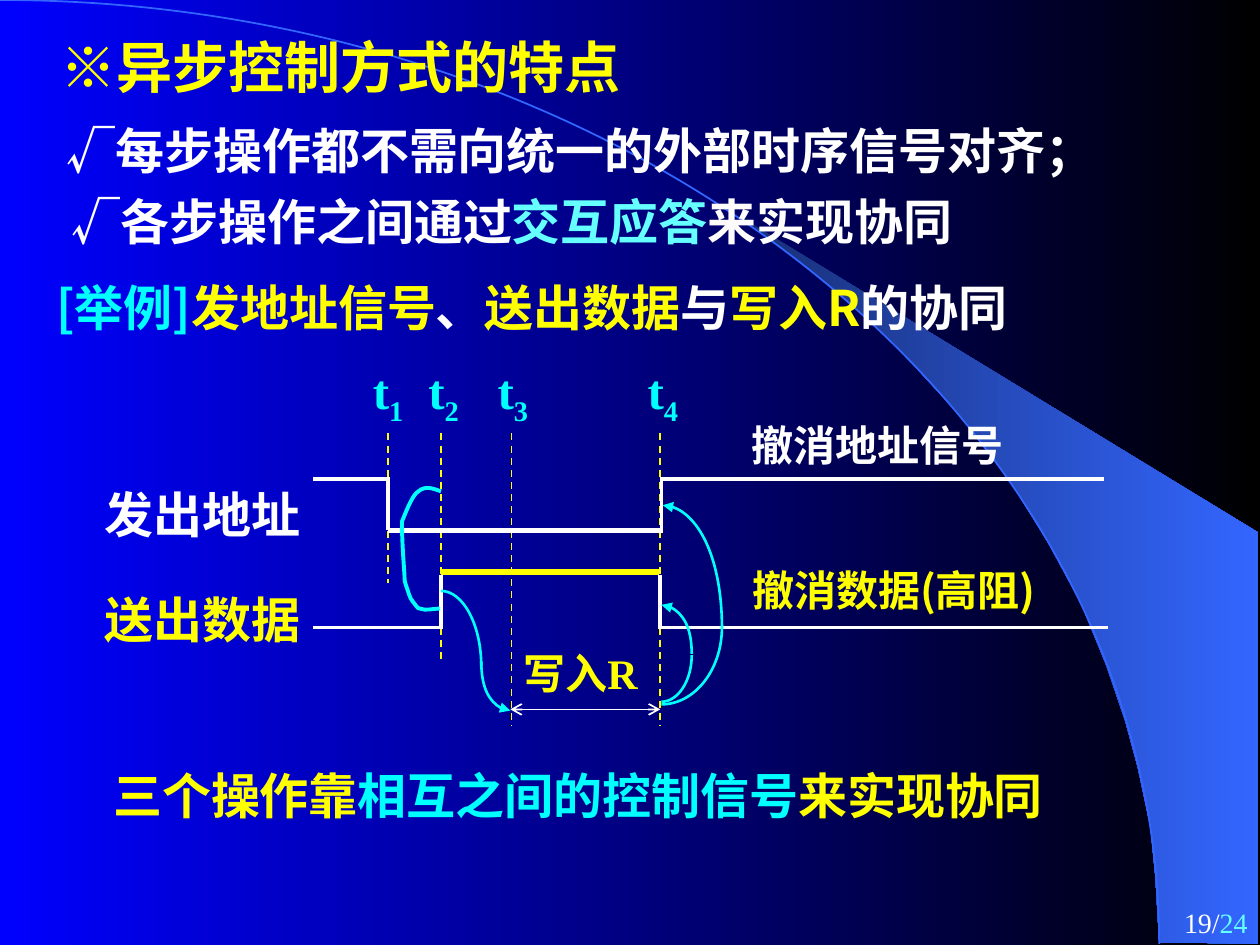
from dataclasses import dataclass

from lxml import etree
from pptx import Presentation
from pptx.dml.color import RGBColor
from pptx.enum.dml import MSO_LINE
from pptx.enum.shapes import MSO_CONNECTOR
from pptx.enum.text import MSO_AUTO_SIZE, PP_ALIGN
from pptx.oxml.ns import qn
from pptx.util import Inches, Pt

STRAIGHT = MSO_CONNECTOR.STRAIGHT
DASH = MSO_LINE.DASH
GROW = MSO_AUTO_SIZE.SHAPE_TO_FIT_TEXT
NO_GROW = MSO_AUTO_SIZE.NONE
LEFT, CENTER, RIGHT = PP_ALIGN.LEFT, PP_ALIGN.CENTER, PP_ALIGN.RIGHT

SANS = "Noto Sans CJK SC"
SERIF = "Times New Roman"
ROUNDNESS = 0.55
COLORS = {
    "white": "FFFFFF", "off_white": "FDFBFB", "yellow": "FFFF00",
    "cyan": "00FFFF", "pale_cyan": "66FFFF", "blue": "0000FF",
    "black": "000000", "sky": "3366FF", "navy": "182F76",
}
Point = tuple[float, float]


@dataclass
class Label:
    box: tuple[float, float, float, float]
    runs: list[tuple[str, str]]
    size: int = 28
    font: str = SANS
    align: PP_ALIGN = LEFT
    bold: bool = True
    wrap: bool = True
    grow: bool = True
    subscript: str = ""


@dataclass
class Line:
    start: Point
    end: Point
    color: str = "white"
    width: float = 2.25
    dashed: bool = False
    arrow: str = ""


@dataclass
class Arc:
    """Quarter ellipse leaving its tip horizontally and reaching its side vertically."""
    tip: Point
    side: Point
    color: str = "cyan"
    width: float = 1.5
    arrow: bool = False
    full_frame: bool = True


@dataclass
class TimeMarker:
    index: str
    x: float
    bottom: float
    label_left: float


LABELS = [
    Label((0.38, 0.21, 5.24, 0.64), [("※异步控制方式的特点", "yellow")], size=32),
    Label((0.43, 0.91, 8.9, 0.57), [("√每步操作都不需向统一的外部时序信号对齐；", "white")]),
    Label((0.47, 1.47, 7.19, 0.57),
          [("√各步操作之间通过", "white"), ("交互应答", "pale_cyan"),
           ("来", "off_white"), ("实现协同", "white")], wrap=False),
    Label((0.35, 2.15, 8.66, 0.57),
          [("[举例]", "cyan"), ("发地址信号", "yellow"), ("、", "white"),
           ("送出数据", "yellow"), ("与", "white"), ("写入R", "yellow"),
           ("的协同", "white")]),
    Label((0.51, 3.8, 1.97, 0.57), [("发出地址", "white")], font=SERIF, align=RIGHT),
    Label((0.59, 4.63, 1.89, 0.57), [("送出数据", "yellow")], font=SERIF, align=RIGHT),
    Label((3.98, 5.09, 1.42, 0.5), [(" 写入R", "yellow")], size=24, font=SERIF),
    Label((5.87, 3.28, 2.44, 0.5), [("撤消地址信号", "white")], size=24),
    Label((5.87, 4.43, 2.91, 0.5), [("撤消数据(高阻)", "yellow")], size=24),
    Label((0.8, 6.03, 7.58, 0.57),
          [("三个操作靠", "yellow"), ("相互之间的控制信号", "cyan"),
           ("来实现协同", "yellow")], wrap=False),
    Label((7.92, 7.14, 2.08, 0.36), [("19/", "white"), ("24", "pale_cyan")],
          size=16, font=SERIF, align=RIGHT, bold=False, grow=False),
]
TIME_MARKERS = [
    TimeMarker("1", 3.08, 4.63, 2.66),
    TimeMarker("2", 3.5, 5.26, 3.1),
    TimeMarker("3", 4.06, 5.76, 3.65),
    TimeMarker("4", 5.24, 5.76, 4.84),
]
HIGH_ADDRESS, LOW_ADDRESS = 3.8, 4.19
HIGH_DATA, LOW_DATA = 4.58, 4.98
SIGNAL_LINES = [
    Line((3.08, HIGH_ADDRESS), (2.5, HIGH_ADDRESS)),
    Line((3.08, LOW_ADDRESS), (3.08, HIGH_ADDRESS)),
    Line((5.24, 4.21), (3.1, 4.21), width=3),
    Line((5.25, LOW_ADDRESS), (5.25, HIGH_ADDRESS)),
    Line((8.75, HIGH_ADDRESS), (5.25, HIGH_ADDRESS)),
    Line((3.5, LOW_DATA), (2.5, LOW_DATA)),
    Line((3.5, LOW_DATA), (3.5, HIGH_DATA)),
    Line((5.21, 4.54), (3.52, 4.54), "yellow", 3),
    Line((5.24, LOW_DATA), (5.24, HIGH_DATA)),
    Line((8.78, LOW_DATA), (5.24, LOW_DATA)),
    Line((5.24, 5.63), (4.05, 5.63), width=1, arrow="arrow"),
]
BACKGROUND_ARC = Arc((0, 0), (9.2, 7.49), "sky", 1, full_frame=False)
RESPONSE_ARCS = [
    Arc((5.25, 4.8), (5.49, 5.19), arrow=True),
    Arc((5.25, 5.57), (5.49, 5.2)),
    Arc((5.25, 5.59), (5.73, 4.98)),
    Arc((5.26, 4.01), (5.73, 4.99), arrow=True),
    Arc((4.05, 5.64), (3.82, 5.25), arrow=True),
    Arc((3.5, 4.69), (3.82, 5.29)),
]
WEDGE = [
    (9.2, 7.48), (9.99, 7.49), (9.99, 4.23), (5.89, 1.73), (6.24, 1.99),
    (6.53, 2.22), (6.85, 2.5), (7.16, 2.8), (7.62, 3.3), (8.03, 3.84),
    (8.32, 4.31), (8.58, 4.79), (8.78, 5.28), (8.93, 5.72), (9.03, 6.09),
    (9.13, 6.56), (9.17, 6.96), (9.2, 7.48),
]
# The start, then two control points and an end for each curve
BRACKET = [
    (3.5, 3.9),
    (3.44, 3.88), (3.38, 3.85), (3.32, 3.9),
    (3.29, 3.92), (3.27, 3.96), (3.25, 4),
    (3.23, 4.04), (3.19, 4.14), (3.19, 4.14),
    (3.19, 4.28), (3.2, 4.42), (3.21, 4.56),
    (3.21, 4.59), (3.21, 4.61), (3.22, 4.64),
    (3.24, 4.69), (3.25, 4.75), (3.28, 4.78),
    (3.3, 4.8), (3.31, 4.83), (3.33, 4.83),
    (3.38, 4.85), (3.44, 4.83), (3.49, 4.83),
]


def rgb(name: str) -> RGBColor:
    return RGBColor.from_string(COLORS[name])


def set_gradient(fill, first: str, last: str) -> None:
    fill.gradient()
    fill.gradient_angle = 0
    for stop, name, position in zip(fill.gradient_stops, (first, last), (0, 1)):
        stop.color.rgb = rgb(name)
        stop.position = position


def style_line(shape, color: str, width: float):
    """Colour the line and return its XML element."""
    shape.line.color.rgb = rgb(color)
    shape.line.width = Pt(width)
    return shape._element.spPr.find(qn("a:ln"))


def add_arrowhead(outline, end: str, kind: str) -> None:
    etree.SubElement(outline, qn(f"a:{end}"), type=kind)


def add_outline(slide, points: list[Point], frame: tuple[Point, ...] = ()):
    """Draw straight segments; the frame corners only widen the shape's box."""
    moves = [(Inches(x), Inches(y)) for x, y in (*frame, points[0])]
    builder = slide.shapes.build_freeform(*moves[0])
    for move in moves[1:]:
        builder.move_to(*move)
    builder.add_line_segments([(Inches(x), Inches(y)) for x, y in points[1:]], close=False)
    shape = builder.convert_to_shape()
    for move in list(shape._element.iter(qn("a:moveTo")))[:-1]:
        move.getparent().remove(move)
    shape.shadow.inherit = False
    shape.fill.background()
    return shape


def add_curve(slide, points: list[Point], frame: tuple[Point, ...] = ()):
    """Draw an outline and join each three of its segments into a Bézier curve."""
    shape = add_outline(slide, points, frame)
    segments = list(shape._element.iter(qn("a:lnTo")))
    for first in range(0, len(segments), 3):
        curve = etree.Element(qn("a:cubicBezTo"))
        segments[first].addprevious(curve)
        for segment in segments[first:first + 3]:
            curve.append(segment[0])
            segment.getparent().remove(segment)
    return shape


def add_arc(slide, arc: Arc) -> None:
    (tip_x, tip_y), (side_x, side_y) = arc.tip, arc.side
    points = [arc.tip, (tip_x + ROUNDNESS * (side_x - tip_x), tip_y),
              (side_x, side_y + ROUNDNESS * (tip_y - side_y)), arc.side]
    frame = ()
    if arc.full_frame:
        frame = ((2 * tip_x - side_x, tip_y), (side_x, 2 * side_y - tip_y))
    outline = style_line(add_curve(slide, points, frame), arc.color, arc.width)
    if arc.arrow:
        add_arrowhead(outline, "headEnd", "triangle")


def add_line(slide, line: Line) -> None:
    ends = [Inches(value) for value in (*line.start, *line.end)]
    connector = slide.shapes.add_connector(STRAIGHT, *ends)
    outline = style_line(connector, line.color, line.width)
    if line.dashed:
        connector.line.dash_style = DASH
    elif not line.arrow:
        outline.set("cap", "sq")
    if line.arrow:
        add_arrowhead(outline, "headEnd", line.arrow)
        add_arrowhead(outline, "tailEnd", line.arrow)
    etree.SubElement(connector._element.spPr, qn("a:effectLst"))


def add_label(slide, label: Label) -> None:
    text_box = slide.shapes.add_textbox(*[Inches(value) for value in label.box])
    frame = text_box.text_frame
    frame.word_wrap = label.wrap
    frame.auto_size = GROW if label.grow else NO_GROW
    paragraph = frame.paragraphs[0]
    paragraph.alignment = label.align
    for text, color in label.runs:
        add_run(paragraph, text, color, label)
    if label.subscript:
        run = add_run(paragraph, label.subscript, label.runs[-1][1], label)
        run._r.get_or_add_rPr().set("baseline", "-25000")


def add_run(paragraph, text: str, color: str, label: Label):
    run = paragraph.add_run()
    run.text = text
    run.font.size = Pt(label.size)
    run.font.bold = label.bold
    run.font.color.rgb = rgb(color)
    run.font.name = label.font
    etree.SubElement(run._r.get_or_add_rPr(), qn("a:ea"), typeface=SANS)
    return run


def add_time_marker(slide, marker: TimeMarker) -> None:
    add_line(slide, Line((marker.x, 3.44), (marker.x, marker.bottom), "yellow", 1, True))
    add_label(slide, Label((marker.label_left, 2.81, 0.84, 0.63), [("t", "cyan")],
                           font=SERIF, align=CENTER, subscript=marker.index))


def main() -> None:
    presentation = Presentation()
    presentation.slide_width, presentation.slide_height = Inches(10), Inches(7.5)
    slide = presentation.slides.add_slide(presentation.slide_layouts[6])
    set_gradient(slide.background.fill, "blue", "black")

    wedge = add_outline(slide, WEDGE)
    set_gradient(wedge.fill, "navy", "sky")
    wedge.line.fill.background()
    add_arc(slide, BACKGROUND_ARC)

    for marker in TIME_MARKERS:
        add_time_marker(slide, marker)
    for line in SIGNAL_LINES:
        add_line(slide, line)
    style_line(add_curve(slide, BRACKET), "cyan", 2.25)
    for arc in RESPONSE_ARCS:
        add_arc(slide, arc)
    for label in LABELS:
        add_label(slide, label)
    presentation.save("out.pptx")


if __name__ == "__main__":
    main()
